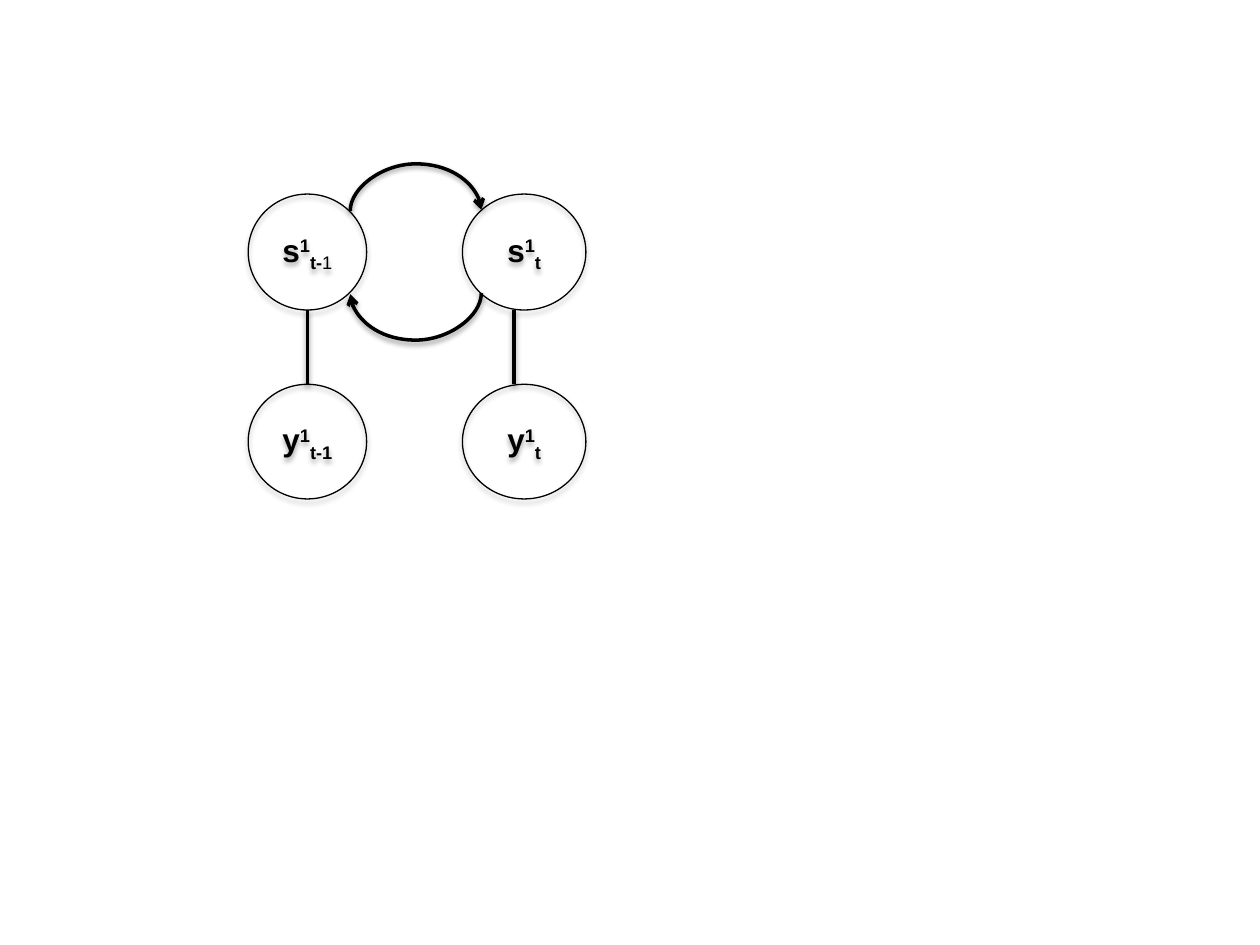
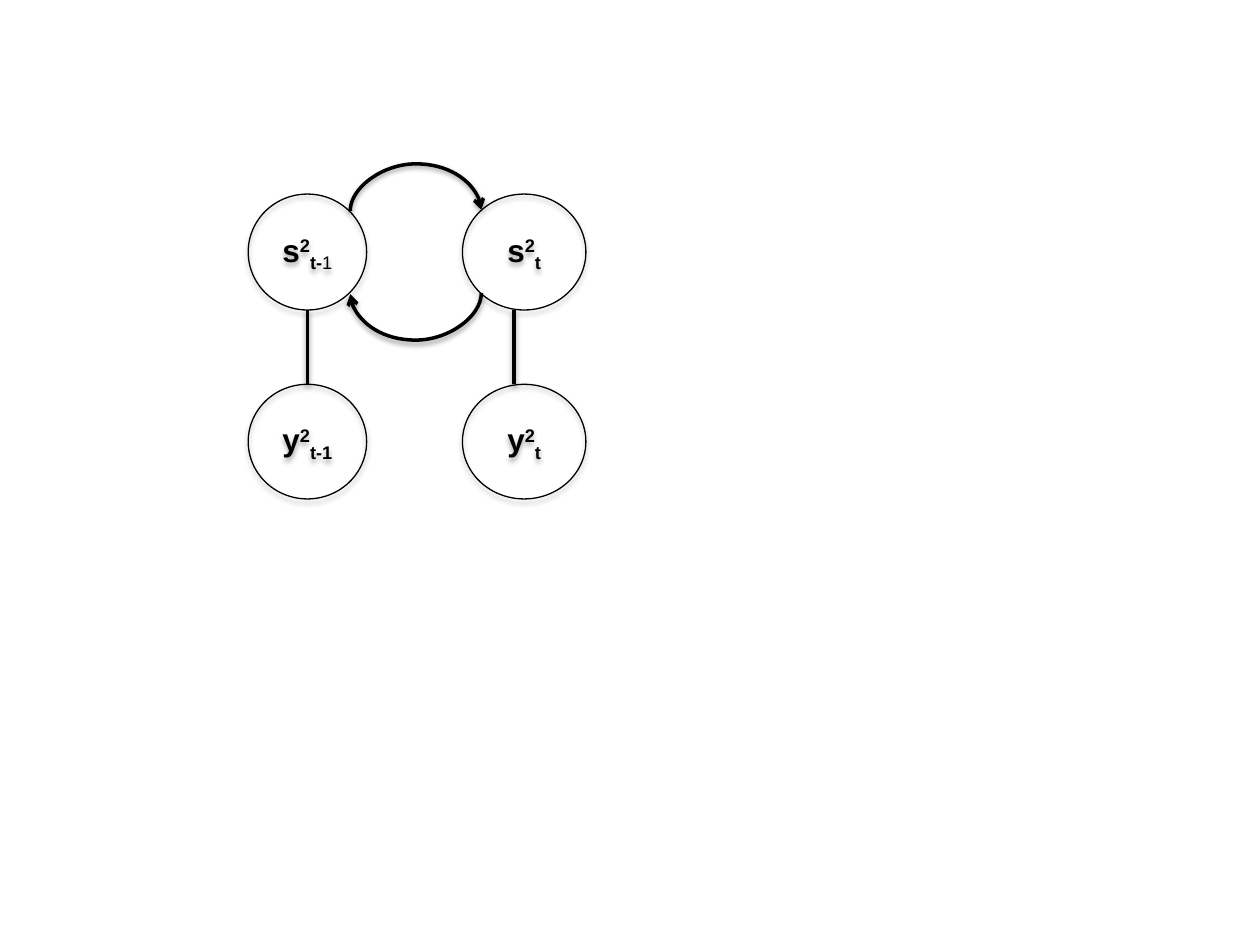
import pptx
import pptx.dml.color
import pptx.enum.shapes
import pptx.enum.text
import pptx.oxml
import pptx.oxml.ns
import pptx.util
from pptx.util import Inches

BLACK = pptx.dml.color.RGBColor(0x00, 0x00, 0x00)
FONT = "Arial"
SUPERSCRIPT, SUBSCRIPT = 30000, -25000
CONNECTOR = pptx.enum.shapes.MSO_CONNECTOR

# Positions inside the figure, in inches from its top-left corner
FIGURE_LEFT, FIGURE_TOP = 1.97, 1.54
COLUMNS = ((0, 0.94), (1.7, 0.98))  # left, width
STATE_TOP, STATE_HEIGHT = 0, 0.92
OBSERVATION_TOP, OBSERVATION_HEIGHT = 1.51, 0.91
LINK_CENTERS = (0.47, 2.11)
ARC_CENTER_X, ARC_SPAN = 1.33, 1.04
UPPER_ARC_Y, LOWER_ARC_Y = 0.13, 0.79
ARC_DEPTH, ARC_OFFSET = 0.38, 0.01


def add_shadow(shape, distance, opacity):
    properties = shape._element.spPr
    properties.append(pptx.oxml.parse_xml(
        f'<a:effectLst {pptx.oxml.ns.nsdecls("a")}>'
        f'<a:outerShdw blurRad="{pptx.util.Pt(3.1)}" dist="{pptx.util.Pt(distance)}" '
        'dir="5400000" rotWithShape="0">'
        f'<a:srgbClr val="{BLACK}"><a:alpha val="{opacity * 1000}"/></a:srgbClr>'
        '</a:outerShdw></a:effectLst>'))


def add_node(slide, left, top, width, height, label):
    """Add a circle; label lists (text, baseline, bold) for each run."""
    node = slide.shapes.add_shape(
        pptx.enum.shapes.MSO_SHAPE.OVAL,
        Inches(left), Inches(top), Inches(width), Inches(height))
    node.fill.background()
    node.line.color.rgb = BLACK
    node.line.width = pptx.util.Pt(0.75)
    add_shadow(node, 1.8, 35)
    node.text_frame.vertical_anchor = pptx.enum.text.MSO_ANCHOR.MIDDLE
    paragraph = node.text_frame.paragraphs[0]
    paragraph.alignment = pptx.enum.text.PP_ALIGN.CENTER
    for text, baseline, bold in label:
        run = paragraph.add_run()
        run.text = text
        run.font.name = FONT
        run.font.size = pptx.util.Pt(18)
        run.font.bold = bold
        run.font.color.rgb = BLACK
        if baseline:
            run.font._element.set("baseline", str(baseline))


def add_line(slide, kind, start, end):
    line = slide.shapes.add_connector(
        kind, *(Inches(value) for value in (*start, *end)))
    line.line.color.rgb = BLACK
    line.line.width = pptx.util.Pt(2)
    add_shadow(line, 1.6, 38)
    return line


def add_arc(slide, center_x, center_y, direction):
    """Add a curved arrow: direction 1 bulges down, -1 bulges up."""
    # Drawn upright, then turned a quarter clockwise about its centre.
    across, along = direction * ARC_OFFSET / 2, direction * ARC_SPAN / 2
    arc = add_line(slide, CONNECTOR.CURVE,
                   (center_x - across, center_y - along),
                   (center_x + across, center_y + along))
    properties = arc._element.spPr
    properties.find(pptx.oxml.ns.qn("a:xfrm")).set("rot", "5400000")
    geometry = properties.find(pptx.oxml.ns.qn("a:prstGeom"))
    for adjustments in geometry.findall(pptx.oxml.ns.qn("a:avLst")):
        geometry.remove(adjustments)
    bend = round(ARC_DEPTH / ARC_OFFSET * 100000)
    geometry.append(pptx.oxml.parse_xml(
        f'<a:avLst {pptx.oxml.ns.nsdecls("a")}>'
        f'<a:gd name="adj1" fmla="val {bend}"/></a:avLst>'))
    properties.find(pptx.oxml.ns.qn("a:ln")).append(pptx.oxml.parse_xml(
        f'<a:tailEnd {pptx.oxml.ns.nsdecls("a")} type="arrow"/>'))


def add_state_figure(slide, left, top, chain):
    """Draw the states and observations of one chain at two time steps."""
    rows = (
        ("s", STATE_TOP, STATE_HEIGHT,
         ([("t-", SUBSCRIPT, True), ("1", SUBSCRIPT, False)],
          [("t", SUBSCRIPT, True)])),
        ("y", OBSERVATION_TOP, OBSERVATION_HEIGHT,
         ([("t-1", SUBSCRIPT, True)], [("t", SUBSCRIPT, True)])),
    )
    for variable, row_top, height, time_steps in rows:
        for (column_left, width), time_step in zip(COLUMNS, time_steps):
            label = [(variable, 0, True), (chain, SUPERSCRIPT, True), *time_step]
            add_node(slide, left + column_left, top + row_top, width, height, label)
    for center in LINK_CENTERS:
        add_line(slide, CONNECTOR.STRAIGHT,
                 (left + center, top + STATE_HEIGHT),
                 (left + center, top + OBSERVATION_TOP))
    add_arc(slide, left + ARC_CENTER_X, top + LOWER_ARC_Y, 1)
    add_arc(slide, left + ARC_CENTER_X, top + UPPER_ARC_Y, -1)


def main():
    presentation = pptx.Presentation()
    presentation.slide_width = Inches(10)
    presentation.slide_height = Inches(7.5)
    blank_layout = presentation.slide_layouts[6]
    for chain in ("1", "2"):
        slide = presentation.slides.add_slide(blank_layout)
        add_state_figure(slide, FIGURE_LEFT, FIGURE_TOP, chain)
    presentation.save("out.pptx")


if __name__ == "__main__":
    main()
